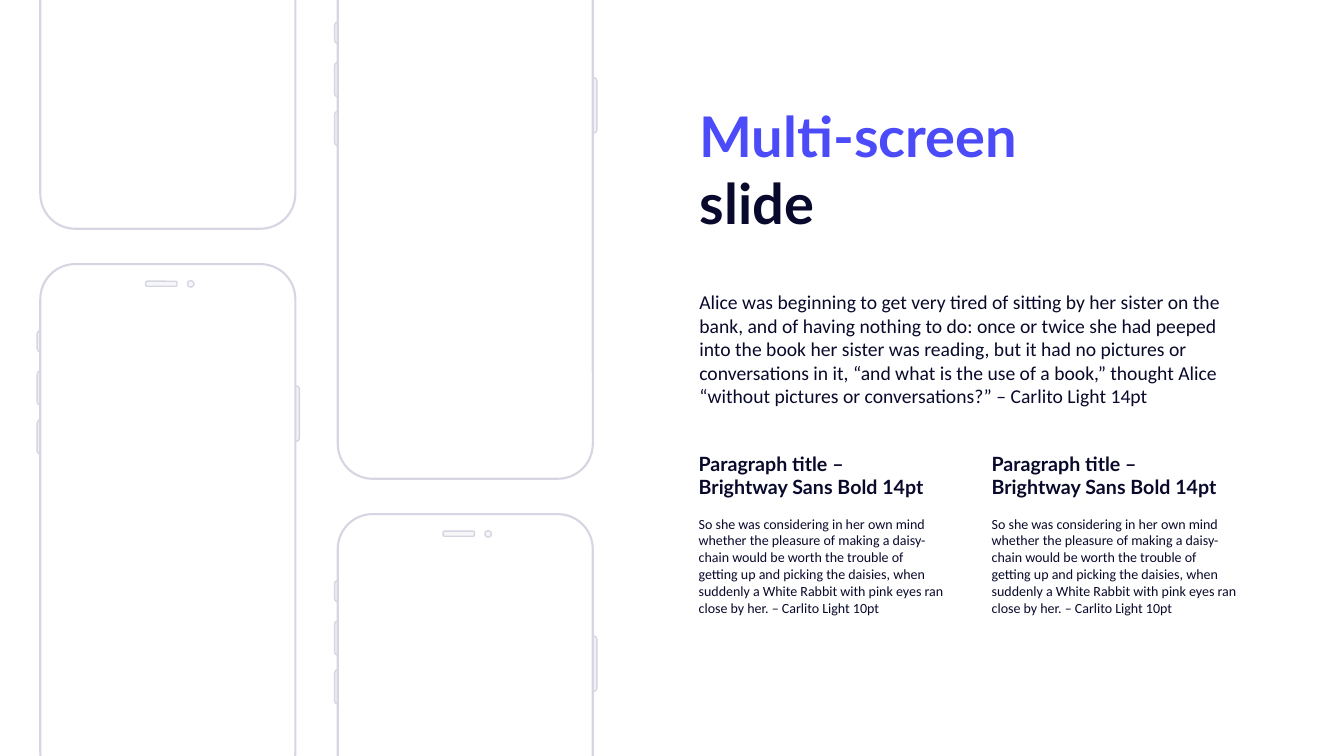
from lxml import etree
from pptx import Presentation
from pptx.dml.color import RGBColor
from pptx.enum.shapes import MSO_SHAPE
from pptx.enum.text import MSO_ANCHOR, MSO_AUTO_SIZE, PP_ALIGN
from pptx.oxml.ns import qn
from pptx.util import Inches, Pt

ROUNDED = MSO_SHAPE.ROUNDED_RECTANGLE
OVAL = MSO_SHAPE.OVAL
TOP = MSO_ANCHOR.TOP
GROW = MSO_AUTO_SIZE.SHAPE_TO_FIT_TEXT
LEFT = PP_ALIGN.LEFT

WHITE = RGBColor(0xFF, 0xFF, 0xFF)
OUTLINE = RGBColor(0xD6, 0xD6, 0xE3)
ACCENT = RGBColor(0x4B, 0x4B, 0xF9)
TITLE_INK = RGBColor(0x09, 0x09, 0x2D)
INK = RGBColor(0x09, 0x09, 0x2C)

HEADING_FONT = "Lato"
BODY_FONT = "Calibri"

PHONE_WIDTH, PHONE_HEIGHT = 18.98, 69.2
PHONE_PITCH = 73.87
PHONE_COLUMNS = {"left": (3, 34.93), "right": (25.13, 68)}
SIDE_BUTTONS = [
    (17.85, 16.13, 1.43, 7.33),
    (-0.23, 8.8, 1.43, 2.8),
    (-0.23, 14.13, 1.43, 4.53),
    (-0.23, 20.6, 1.43, 4.53),
]
SPEAKER = (7.84, 2.27, 2.33, 0.67)
CAMERA = (10.95, 2.2, 0.48, 0.85)

INTRO = (
    "Alice was beginning to get very tired of sitting by her sister on the bank, "
    "and of having nothing to do: once or twice she had peeped into the book her "
    "sister was reading, but it had no pictures or conversations in it, “and what "
    "is the use of a book,” thought Alice “without pictures or conversations?” "
    "– Carlito Light 14pt"
)
COLUMN_HEADING = ["Paragraph title –", "Brightway Sans Bold 14pt"]
COLUMN_TEXT = (
    "So she was considering in her own mind whether the pleasure of making a "
    "daisy-chain would be worth the trouble of getting up and picking the daisies, "
    "when suddenly a White Rabbit with pink eyes ran close by her. "
    "– Carlito Light 10pt"
)


class SlideBuilder:
    def __init__(self):
        self.deck = Presentation()
        self.deck.slide_width = Inches(13.33)
        self.deck.slide_height = Inches(7.5)
        self.slide = self.deck.slides.add_slide(self.deck.slide_layouts[5])
        self.slide.background.fill.solid()
        self.slide.background.fill.fore_color.rgb = WHITE

    def lengths(self, left, top, width, height):
        across, down = self.deck.slide_width / 100, self.deck.slide_height / 100
        return [int(left * across), int(top * down), int(width * across), int(height * down)]

    def outline(self, group, kind, area, color, opacity=100, weight=1, corner=None):
        shape = group.shapes.add_shape(kind, *self.lengths(*area))
        shape.shadow.inherit = False
        if corner is not None:
            shape.adjustments[0] = corner
        shape.fill.solid()
        shape.fill.fore_color.rgb = color
        if opacity < 100:
            swatch = shape.element.spPr.find(qn("a:solidFill"))[0]
            etree.SubElement(swatch, qn("a:alpha"), val=str(opacity * 1000))
        shape.line.color.rgb = OUTLINE
        shape.line.width = Pt(weight)

    def phone(self, column, row):
        left, first_top = PHONE_COLUMNS[column]
        top = first_top - row * PHONE_PITCH
        group = self.slide.shapes.add_group_shape()

        def part(kind, area, opacity, corner=None):
            x, y, width, height = area
            if top + y + height > 0:
                self.outline(group, kind, (left + x, top + y, width, height),
                             OUTLINE, opacity, corner=corner)

        for button in SIDE_BUTTONS:
            part(ROUNDED, button, 30)
        self.outline(group, ROUNDED, (left, top, PHONE_WIDTH, PHONE_HEIGHT),
                     WHITE, weight=1.5, corner=0.137)
        part(ROUNDED, SPEAKER, 20, 0.288)
        part(OVAL, CAMERA, 20)

    def set_lines(self, box, lines, size, font, colors, bold=False):
        frame = box.text_frame
        frame.word_wrap = True
        frame.auto_size = GROW
        frame.vertical_anchor = TOP
        para = frame.paragraphs[0]
        para.alignment = LEFT
        para.font.size = Pt(size)
        para.font.name = font
        para.font.bold = bold
        for index, (line, color) in enumerate(zip(lines, colors)):
            if index:
                para.add_line_break()
            span = para.add_run()
            span.text = line
            span.font.color.rgb = color

    def title(self, area, lines, colors):
        box = self.slide.shapes.title
        box.left, box.top, box.width, box.height = self.lengths(*area)
        self.set_lines(box, lines, 40, HEADING_FONT, colors, bold=True)

    def text(self, area, lines, size, font, bold=False):
        box = self.slide.shapes.add_textbox(*self.lengths(*area))
        self.set_lines(box, lines, size, font, [INK] * len(lines), bold)


def main():
    page = SlideBuilder()
    for row in range(2):
        for column in ("right", "left"):
            page.phone(column, row)
    page.title((51.3, 12.8, 41.55, 19.33), ["Multi-screen", "slide"], [ACCENT, TITLE_INK])
    page.text((51.3, 37.73, 41.55, 17.07), [INTRO], 14, BODY_FONT)
    for left in (51.25, 73.05):
        page.text((left, 59.07, 19.73, 7.6), COLUMN_HEADING, 14, HEADING_FONT, bold=True)
        page.text((left, 67.47, 19.73, 14.8), [COLUMN_TEXT], 10, BODY_FONT)
    page.deck.save("out.pptx")


if __name__ == "__main__":
    main()
